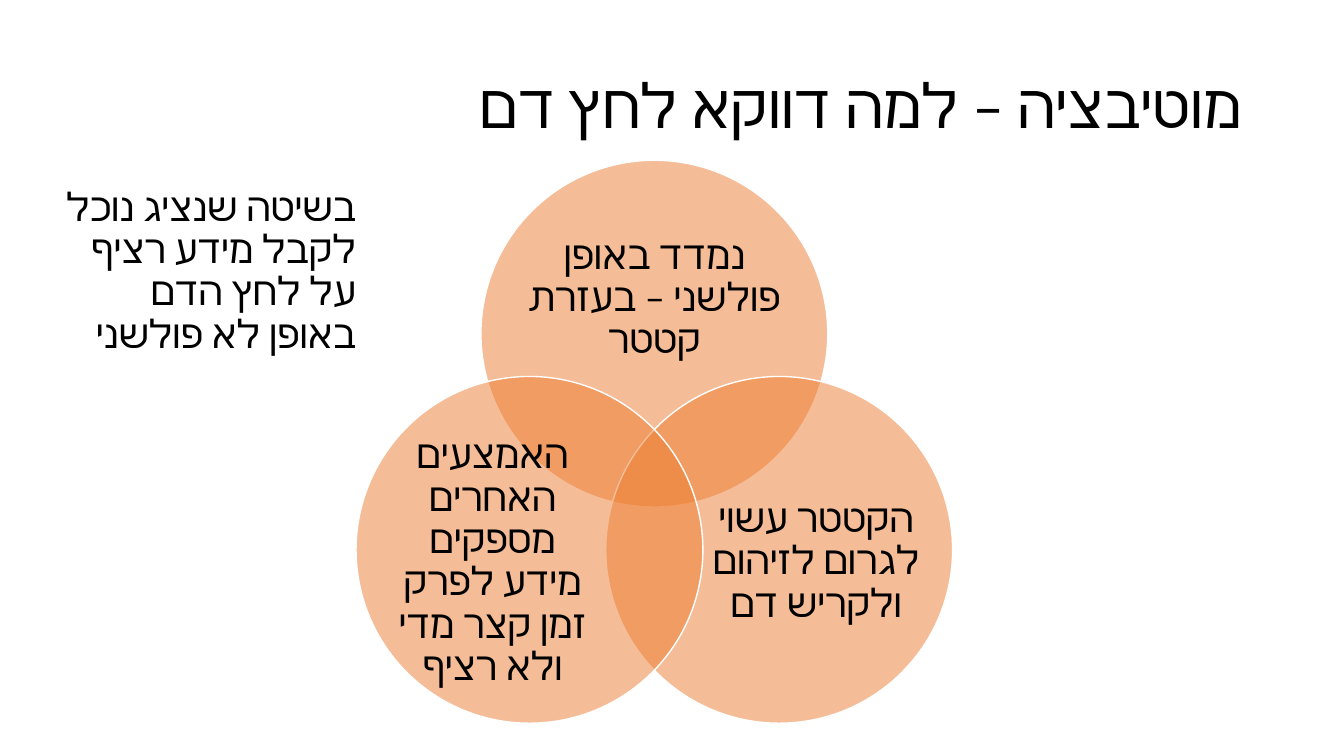
from dataclasses import dataclass
from math import cos, radians, sin
from typing import Any

from pptx import Presentation
from pptx import util as u
from pptx.dml import color
from pptx.enum import shapes, text
from pptx.oxml import ns, xmlchemy

ALIGN = text.PP_ALIGN
ANCHOR = text.MSO_ANCHOR


def hue(code):
    """Turn a hex string into a colour."""
    return color.RGBColor.from_string(code)


def apply(item, style):
    """Set each attribute named in a dict of format values."""
    for name, value in style.items():
        setattr(item, name, value)


def child(node, tag, **attrs):
    """Append an XML child with the given attributes."""
    part = xmlchemy.OxmlElement(tag)
    for name, value in attrs.items():
        part.set(name, value)
    node.append(part)


@dataclass
class Page:
    """Holds the style and the current slide."""
    slide: Any
    font: str = "Calibri"
    ink: str = "000000"
    fill: str = "ED7D31"
    edge: str = "FFFFFF"
    alpha: int = 50

    def label(self, words, box, size=28, align=ALIGN.RIGHT,
              anchor=ANCHOR.MIDDLE, pad=(0.1, 0.05)):
        """Add a right-to-left text box."""
        shape = self.slide.shapes.add_textbox(*map(u.Inches, box))
        side, end = map(u.Inches, pad)
        frame = shape.text_frame
        apply(frame, dict(word_wrap=True, vertical_anchor=anchor,
                          margin_left=side, margin_right=side,
                          margin_top=end, margin_bottom=end))
        para = frame.paragraphs[0]
        apply(para, dict(alignment=align, line_spacing=0.9))
        para._p.get_or_add_pPr().set("rtl", "1")
        run = para.add_run()
        run.text = words
        apply(run.font, dict(name=self.font, size=u.Pt(size)))
        run.font.color.rgb = hue(self.ink)
        child(run.font._element, "a:cs", typeface=self.font)

    def disc(self, x, y, radius):
        """Add a see-through circle around a centre."""
        box = (x - radius, y - radius, 2 * radius, 2 * radius)
        shape = self.slide.shapes.add_shape(
            shapes.MSO_SHAPE.OVAL, *map(u.Inches, box))
        shape.shadow.inherit = False
        shape.fill.solid()
        shape.fill.fore_color.rgb = hue(self.fill)
        tone = shape._element.spPr.find(ns.qn("a:solidFill"))[0]
        child(tone, "a:alpha", val=str(self.alpha * 1000))
        shape.line.color.rgb = hue(self.edge)
        shape.line.width = u.Pt(1)


deck = Presentation()
apply(deck, dict(slide_width=u.Inches(13.33), slide_height=u.Inches(7.5)))
page = Page(deck.slides.add_slide(deck.slide_layouts[6]))

page.label("מוטיבציה – למה דווקא לחץ דם", (0.92, 0.35, 11.5, 1.45), size=44)
page.label("בשיטה שנציג נוכל לקבל מידע רציף על לחץ הדם באופן לא פולשני",
           (0.46, 1.81, 3.17, 2.77), anchor=ANCHOR.TOP)

# Three circles spaced evenly around the middle of the diagram
MID_X, MID_Y, ORBIT, RADIUS = 6.49, 4.74, 1.43, 1.72
VENN = [
    (-90, "נמדד באופן פולשני – בעזרת קטטר", (5.23, 2.19, 2.52, 1.55)),
    (30, "הקטטר עשוי לגרום לזיהום ולקריש דם", (7.06, 4.63, 2.07, 1.89)),
    (150, "האמצעים האחרים מספקים מידע לפרק זמן קצר מדי ולא רציף",
     (3.85, 4.63, 2.07, 1.89)),
]
for angle, words, box in VENN:
    turn = radians(angle)
    page.disc(MID_X + ORBIT * cos(turn), MID_Y + ORBIT * sin(turn), RADIUS)
    page.label(words, box, align=ALIGN.CENTER, pad=(0, 0))

deck.save("out.pptx")
